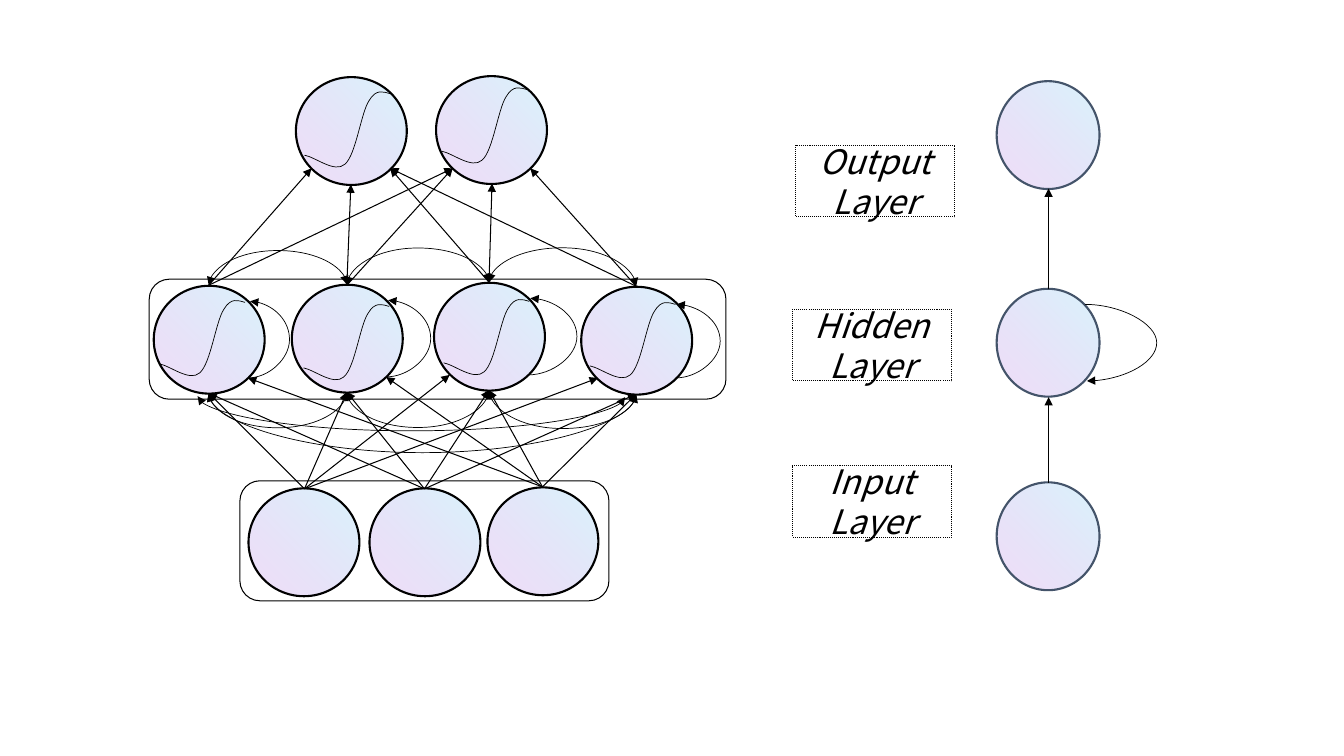
from dataclasses import dataclass

from lxml import etree
from pptx import Presentation
from pptx.dml.color import RGBColor
from pptx.enum.dml import MSO_LINE
from pptx.enum.shapes import MSO_CONNECTOR as Link, MSO_SHAPE as Shape
from pptx.enum.text import MSO_ANCHOR, PP_ALIGN
from pptx.oxml.ns import qn
from pptx.util import Inches, Pt


@dataclass(frozen=True)
class Theme:
    ink: RGBColor = RGBColor(0, 0, 0)
    slate: RGBColor = RGBColor(0x44, 0x54, 0x6A)
    # Gradient stops: colour and opacity in percent
    stops: tuple = ((RGBColor(0x69, 0xD4, 0xF4), 26),
                    (RGBColor(0x9F, 0x39, 0xD5), 17))
    font: str = "Noto Sans CJK KR"
    label_size: Pt = Pt(24)
    label_spacing: Pt = Pt(28.6)
    thin: Pt = Pt(0.5)
    medium: Pt = Pt(0.75)
    thick: Pt = Pt(1.5)


THEME = Theme()

# Node positions: left, top
INPUTS = [(2.48, 4.83), (3.68, 4.83), (4.85, 4.82)]
HIDDEN = [(1.54, 2.82), (2.91, 2.81), (4.32, 2.79), (5.78, 2.83)]
OUTPUTS = [(2.95, 0.75), (4.34, 0.74)]
NODE_SIZE = (1.07, 1.1)
SUMMARY_TOPS = [0.83, 2.89, 4.81]

# Upper right end of each sigmoid, and its Bezier points relative to that end
SIGMOID_STARTS = [(2.43, 3), (3.86, 3.04), (5.25, 2.99), (6.7, 3.02),
                  (3.87, 0.93), (5.23, 0.89)]
SIGMOID = [(-0.07, -0.02), (-0.14, -0.05), (-0.21, 0.07),
           (-0.29, 0.19), (-0.34, 0.61), (-0.45, 0.7),
           (-0.55, 0.79), (-0.74, 0.63), (-0.85, 0.61)]

# Straight links between layers: start and its targets
BOTTOMS = [(2.07, 3.9), (3.44, 3.89), (4.85, 3.87), (6.31, 3.91)]
LAYER_LINKS = {
    (3.02, 4.85): [BOTTOMS[0], BOTTOMS[1], (4.46, 3.72), (5.93, 3.75)],
    (4.21, 4.85): BOTTOMS,
    (5.38, 4.83): [(2.46, 3.75), (3.83, 3.74), BOTTOMS[2], BOTTOMS[3]],
    (2.07, 2.83): [(3.09, 1.67), (4.49, 1.67)],
    (3.44, 2.83): [(3.48, 1.83), (4.49, 1.67)],
    (4.85, 2.8): [(3.87, 1.67), (4.88, 1.82)],
    (6.31, 2.84): [(3.87, 1.67), (5.26, 1.67)],
}

# Arcs between hidden nodes: start, end, height reached
ARCS = [
    ((2.07, 2.83), (3.44, 2.82), 2.48),
    ((3.44, 2.83), (4.85, 2.8), 2.46),
    ((4.85, 2.8), (6.31, 2.84), 2.46),
    (BOTTOMS[0], BOTTOMS[1], 4.25),
    (BOTTOMS[1], BOTTOMS[2], 4.24),
    (BOTTOMS[2], BOTTOMS[3], 4.25),
    ((1.96, 3.93), (6.2, 3.94), 4.28),
    (BOTTOMS[0], BOTTOMS[3], 4.5),
]

# Self loops: start, end, rightmost reach
LOOPS = [
    ((2.46, 3.75), (2.48, 2.99), 2.87),
    ((3.83, 3.74), (3.85, 2.98), 4.27),
    ((5.24, 3.72), (5.26, 2.96), 5.72),
    ((6.7, 3.75), (6.71, 3.02), 7.15),
    ((10.76, 3.02), (10.78, 3.78), 11.47),
]

LABELS = [("Output", 7.89, 1.44), ("Hidden", 7.86, 3.07), ("Input", 7.86, 4.62)]


def style_line(shape, color, width):
    shape.line.color.rgb = color
    shape.line.width = width


def add_outline(page, kind, left, top, width, height):
    """Unfilled shape with a medium outline."""
    box = page.shapes.add_shape(kind, *map(Inches, (left, top, width, height)))
    box.shadow.inherit = False
    box.fill.background()
    style_line(box, THEME.ink, THEME.medium)
    return box


def add_node(page, left, top, size=NODE_SIZE, color=THEME.ink):
    node = add_outline(page, Shape.OVAL, left, top, *size)
    node.rotation = 270
    node.fill.gradient()
    node.fill.gradient_angle = 135
    for stop, (tint, opacity) in zip(node.fill.gradient_stops, THEME.stops):
        stop.color.rgb = tint
    fill = node.element.spPr.find(qn("a:gradFill"))
    for tag, (tint, opacity) in zip(fill.iter(qn("a:srgbClr")), THEME.stops):
        etree.SubElement(tag, qn("a:alpha"), val=str(opacity * 1000))
    style_line(node, color, THEME.thick)


def add_arrow(page, start, end, width=THEME.medium, kind=Link.STRAIGHT,
              ends=("tailEnd",)):
    arrow = page.shapes.add_connector(kind, *map(Inches, (*start, *end)))
    style_line(arrow, THEME.ink, width)
    for name in ends:
        etree.SubElement(arrow.line._get_or_add_ln(), qn(f"a:{name}"), type="triangle")
    etree.SubElement(arrow.element.spPr, qn("a:effectLst"))
    return arrow


def set_bulge(arrow, ratio):
    guides = arrow.element.spPr.find(qn("a:prstGeom")).find(qn("a:avLst"))
    etree.SubElement(guides, qn("a:gd"), name="adj1",
                     fmla=f"val {round(ratio * 100000)}")


def add_loop(page, start, end, reach):
    """Curve that leaves and returns sideways."""
    loop = add_arrow(page, start, end, THEME.thin, Link.CURVE)
    set_bulge(loop, (reach - start[0]) / (end[0] - start[0]))


def add_arc(page, start, end, reach):
    """Two-headed curve that leaves and returns vertically, as a turned connector."""
    mid_x, mid_y = (start[0] + end[0]) / 2, (start[1] + end[1]) / 2
    turn, sign = (90, 1) if start[1] > end[1] else (270, -1)
    dx, dy = sign * (start[0] - mid_x), sign * (start[1] - mid_y)
    arc = add_arrow(page, (mid_x + dy, mid_y - dx), (mid_x - dy, mid_y + dx),
                    THEME.thin, Link.CURVE, ("headEnd", "tailEnd"))
    arc.element.spPr.find(qn("a:xfrm")).set("rot", str(turn * 60000))
    set_bulge(arc, (reach - start[1]) / (end[1] - start[1]))


def add_sigmoid(page, x, y):
    pen = page.shapes.build_freeform(Inches(x), Inches(y))
    pen.add_line_segments([(Inches(x + dx), Inches(y + dy)) for dx, dy in SIGMOID],
                          close=False)
    curve = pen.convert_to_shape()
    # Join every three line points into one Bezier segment
    segments = list(curve.element.iter(qn("a:lnTo")))
    for i in range(0, len(segments), 3):
        bezier = etree.SubElement(segments[i].getparent(), qn("a:cubicBezTo"))
        for segment in segments[i:i + 3]:
            bezier.append(segment[0])
            segment.getparent().remove(segment)
    curve.shadow.inherit = False
    curve.fill.background()
    style_line(curve, THEME.ink, THEME.thin)


def add_label(page, name, left, top):
    box = add_outline(page, Shape.RECTANGLE, left, top, 1.58, 0.71)
    box.line.dash_style = MSO_LINE.ROUND_DOT
    frame = box.text_frame
    frame.word_wrap = True
    frame.vertical_anchor = MSO_ANCHOR.MIDDLE
    frame.margin_left = frame.margin_right = Inches(0.13)
    frame.margin_top = frame.margin_bottom = Inches(0.13)
    frame.text = f"{name}\nLayer"
    for para in frame.paragraphs:
        para.alignment = PP_ALIGN.CENTER
        para.line_spacing = THEME.label_spacing
        para.font.name = THEME.font
        para.font.size = THEME.label_size
        para.font.italic = True
        para.font.color.rgb = THEME.ink


def main():
    deck = Presentation()
    deck.slide_width, deck.slide_height = Inches(13.33), Inches(7.5)
    page = deck.slides.add_slide(deck.slide_layouts[6])

    # Full network
    for left, top in INPUTS + HIDDEN + OUTPUTS:
        add_node(page, left, top)
    for start, targets in LAYER_LINKS.items():
        for end in targets:
            add_arrow(page, start, end)
    add_outline(page, Shape.ROUNDED_RECTANGLE, 1.48, 2.77, 5.72, 1.19)
    add_outline(page, Shape.ROUNDED_RECTANGLE, 2.38, 4.77, 3.66, 1.19)
    for x, y in SIGMOID_STARTS:
        add_sigmoid(page, x, y)

    # Summary column
    for top in SUMMARY_TOPS:
        add_node(page, 9.86, top, (1.07, 1.02), THEME.slate)
    for bottom, top in [(4.79, 3.94), (2.87, 1.87)]:
        add_arrow(page, (10.4, bottom), (10.4, top), THEME.thin)

    # Recurrent links
    for arc in ARCS:
        add_arc(page, *arc)
    for loop in LOOPS:
        add_loop(page, *loop)

    # Layer names
    for label in LABELS:
        add_label(page, *label)

    deck.save("out.pptx")


if __name__ == "__main__":
    main()
